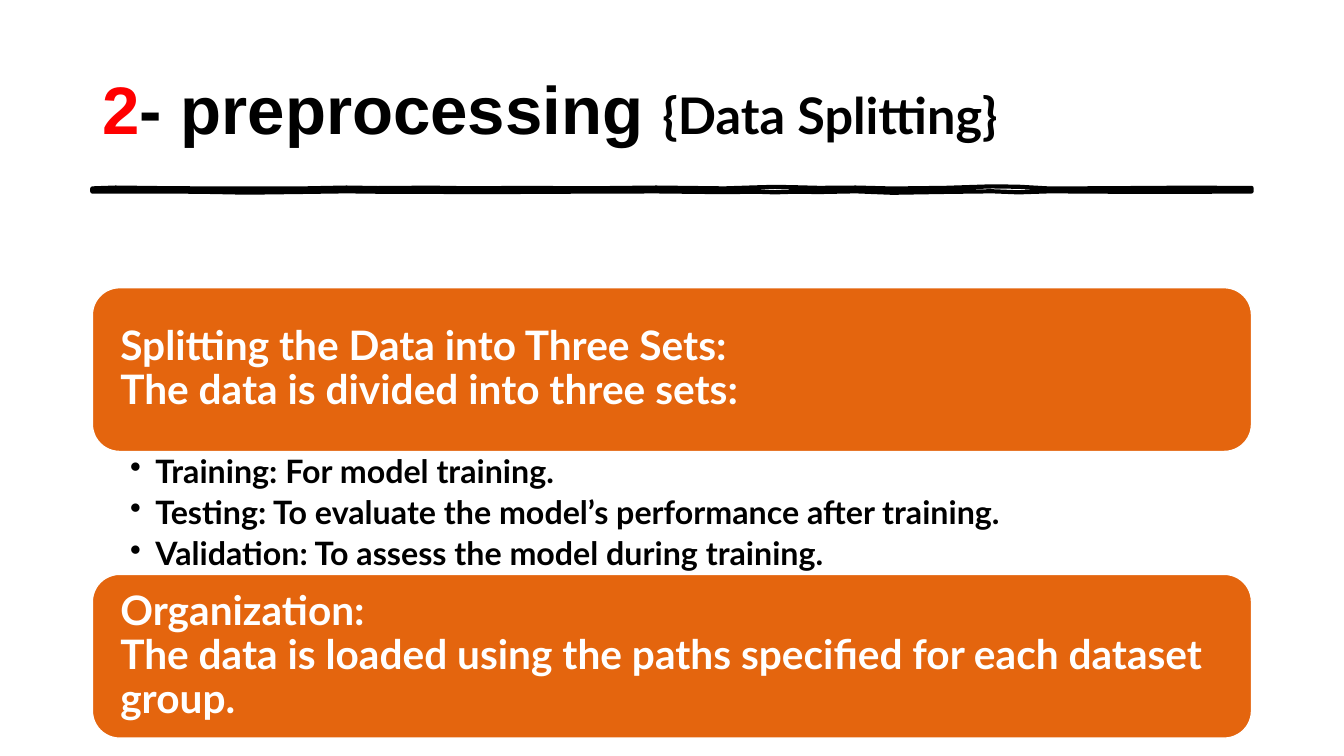
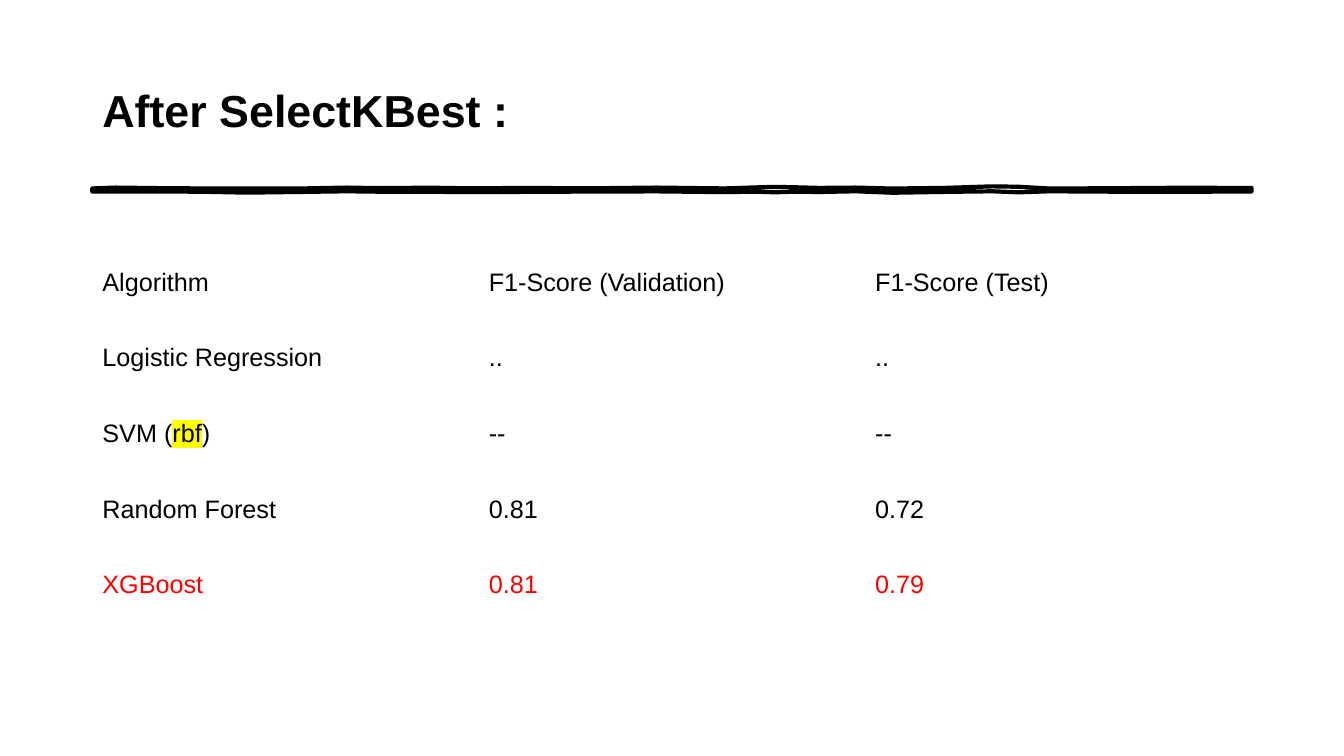
import lxml.etree
import pptx
import pptx.dml.color
import pptx.enum.shapes
import pptx.enum.text
import pptx.oxml.ns
import pptx.util

PX = 9525  # EMU per px, 96 px to the inch
SLIDE_WIDTH, SLIDE_HEIGHT = 1280, 720
LEFT, CONTENT_WIDTH = 88, 1104

BLACK, WHITE, RED = "000000", "FFFFFF", "FF0000"
ORANGE, YELLOW = "E4650E", "FFFF00"
SANS, HUMANIST = "Arial", "Lato"

# Hand-drawn rule: x in px, then upper and lower edge in tenths of a px
RULE_PROFILE = [
    (88, 1795, 1825), (110, 1787, 1825), (150, 1792, 1825), (190, 1795, 1826),
    (235, 1796, 1835), (290, 1795, 1828), (330, 1787, 1822), (360, 1792, 1826),
    (410, 1788, 1827), (450, 1794, 1830), (500, 1790, 1828), (560, 1794, 1825),
    (625, 1787, 1823), (690, 1795, 1830), (720, 1785, 1826), (738, 1780, 1832),
    (757, 1784, 1826), (780, 1790, 1829), (815, 1787, 1822), (850, 1796, 1836),
    (900, 1790, 1828), (945, 1775, 1822), (970, 1779, 1832), (1000, 1796, 1822),
    (1060, 1793, 1826), (1120, 1789, 1827), (1192, 1790, 1824),
]

BOX_TOP, BOX_HEIGHT, BULLETS_HEIGHT = 274, 156, 117
SPLITTING = "Splitting the Data into Three Sets:\vThe data is divided into three sets:"
SETS = [
    "Training: For model training.",
    "Testing: To evaluate the model’s performance after training.",
    "Validation: To assess the model during training.",
]
ORGANIZATION = (
    "Organization:\vThe data is loaded using the paths specified for each dataset group."
)
SCORES = [
    ("Algorithm", "F1-Score (Validation)", "F1-Score (Test)"),
    ("Logistic Regression", "..", ".."),
    ("SVM (rbf)", "--", "--"),
    ("Random Forest", "0.81", "0.72"),
    ("XGBoost", "0.81", "0.79"),
]
HIGHLIGHTED, BEST = "rbf", "XGBoost"


def px(*lengths):
    return [round(length * PX) for length in lengths]


def rgb(color):
    return pptx.dml.color.RGBColor.from_string(color)


def format_run(run, size, font, color, bold=False):
    run.font.size = pptx.util.Pt(size)
    run.font.name = font
    run.font.bold = bold
    run.font.color.rgb = rgb(color)


def format_paragraph(paragraph, size, font, color):
    paragraph.alignment = pptx.enum.text.PP_ALIGN.LEFT
    paragraph.line_spacing = 0.9
    for run in paragraph.runs:
        format_run(run, size, font, color, bold=True)


def add_text_box(slide, top, height):
    box = slide.shapes.add_textbox(*px(LEFT, top, CONTENT_WIDTH, height))
    box.text_frame.word_wrap = True
    return box.text_frame


def add_title(slide, parts):
    """Each part is (text, size, font, color)."""
    frame = add_text_box(slide, 38, 139)
    frame.vertical_anchor = pptx.enum.text.MSO_ANCHOR.MIDDLE
    heading = frame.paragraphs[0]
    heading.line_spacing = 0.9
    for text, size, font, color in parts:
        run = heading.add_run()
        run.text = text
        format_run(run, size, font, color, bold=True)


def add_rule(slide):
    """Unfilled outline whose stroke closes up except where the edges part."""
    upper = [(x * 10, top) for x, top, _ in RULE_PROFILE]
    lower = [(x * 10, bottom) for x, _, bottom in reversed(RULE_PROFILE)]
    builder = slide.shapes.build_freeform(*upper[0], scale=PX / 10)
    builder.add_line_segments(upper[1:] + lower, close=True)
    rule = builder.convert_to_shape()
    rule.shadow.inherit = False
    rule.fill.background()
    rule.line.color.rgb = rgb(BLACK)
    rule.line.width = pptx.util.Pt(3)


def add_titled_slide(presentation, title_parts):
    slide = presentation.slides.add_slide(presentation.slide_layouts[6])
    add_rule(slide)
    add_title(slide, title_parts)
    return slide


def add_banner(slide, top, text):
    banner = slide.shapes.add_shape(
        pptx.enum.shapes.MSO_SHAPE.ROUNDED_RECTANGLE,
        *px(LEFT, top, CONTENT_WIDTH, BOX_HEIGHT),
    )
    banner.shadow.inherit = False
    banner.fill.solid()
    banner.fill.fore_color.rgb = rgb(ORANGE)
    banner.line.color.rgb = rgb(WHITE)
    banner.line.width = pptx.util.Pt(1)
    frame = banner.text_frame
    frame.word_wrap = True
    frame.vertical_anchor = pptx.enum.text.MSO_ANCHOR.MIDDLE
    frame.margin_left, frame.margin_right = px(19, 19)
    frame.paragraphs[0].text = text
    format_paragraph(frame.paragraphs[0], 29, HUMANIST, WHITE)


def add_bullets(slide, top, items):
    frame = add_text_box(slide, top, BULLETS_HEIGHT)
    frame.margin_left, frame.margin_right = px(36, 22)
    frame.margin_top, frame.margin_bottom = px(4, 4)
    frame.text = "\n".join(items)
    for paragraph in frame.paragraphs:
        format_paragraph(paragraph, 23, HUMANIST, BLACK)
        paragraph.space_after = pptx.util.Pt(4.6)
        properties = paragraph._p.get_or_add_pPr()
        indent = px(24)[0]
        properties.set("marL", str(indent))
        properties.set("indent", str(-indent))
        bullet = lxml.etree.SubElement(properties, pptx.oxml.ns.qn("a:buChar"))
        bullet.set("char", "•")


def highlight(run, color):
    marker = lxml.etree.Element(pptx.oxml.ns.qn("a:highlight"))
    lxml.etree.SubElement(marker, pptx.oxml.ns.qn("a:srgbClr")).set("val", color)
    run._r.get_or_add_rPr().find(pptx.oxml.ns.qn("a:solidFill")).addnext(marker)


def fill_cell(cell, text, color):
    cell.fill.background()
    cell.vertical_anchor = pptx.enum.text.MSO_ANCHOR.MIDDLE
    before, marked, after = text.partition(HIGHLIGHTED)
    for part in filter(None, (before, marked, after)):
        run = cell.text_frame.paragraphs[0].add_run()
        run.text = part
        format_run(run, 18, SANS, color)
        if part == HIGHLIGHTED:
            highlight(run, YELLOW)


def add_score_table(slide, top, row_height):
    table = slide.shapes.add_table(
        len(SCORES), len(SCORES[0]),
        *px(LEFT, top, CONTENT_WIDTH, row_height * len(SCORES)),
    ).table
    table.first_row = False
    table.horz_banding = False
    for row, scores in enumerate(SCORES):
        color = RED if scores[0] == BEST else BLACK
        for column, text in enumerate(scores):
            fill_cell(table.cell(row, column), text, color)


def build_splitting_slide(presentation):
    slide = add_titled_slide(presentation, [
        ("2", 48, SANS, RED),
        ("- preprocessing ", 48, SANS, BLACK),
        ("{Data Splitting}", 36, HUMANIST, BLACK),
    ])
    bullets_top = BOX_TOP + BOX_HEIGHT
    add_banner(slide, BOX_TOP, SPLITTING)
    add_bullets(slide, bullets_top, SETS)
    add_banner(slide, bullets_top + BULLETS_HEIGHT, ORGANIZATION)


def build_scores_slide(presentation):
    slide = add_titled_slide(presentation, [("After SelectKBest :", 32, SANS, BLACK)])
    add_score_table(slide, 233, 72)


def main():
    presentation = pptx.Presentation()
    presentation.slide_width, presentation.slide_height = px(SLIDE_WIDTH, SLIDE_HEIGHT)
    build_splitting_slide(presentation)
    build_scores_slide(presentation)
    presentation.save("out.pptx")


if __name__ == "__main__":
    main()
